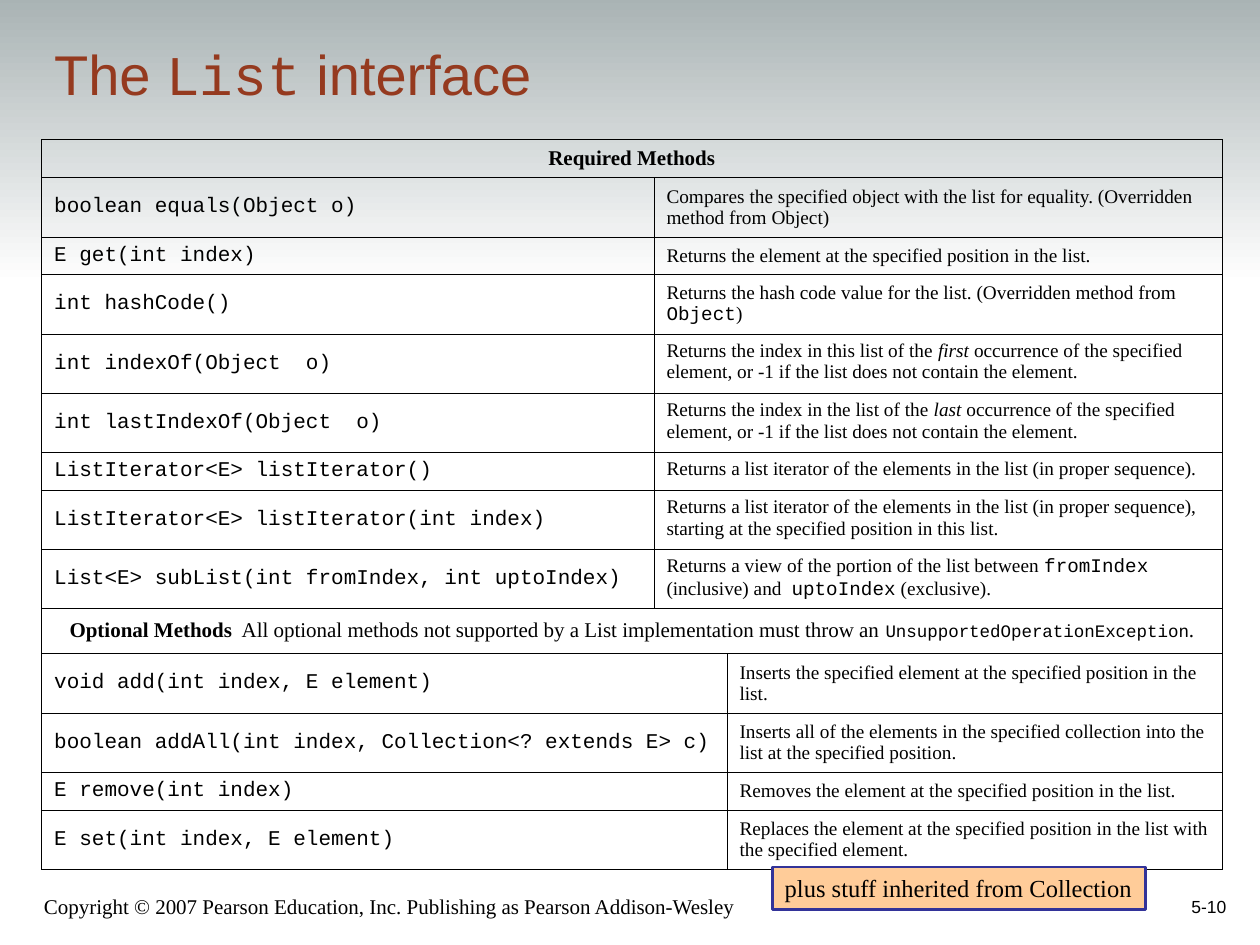
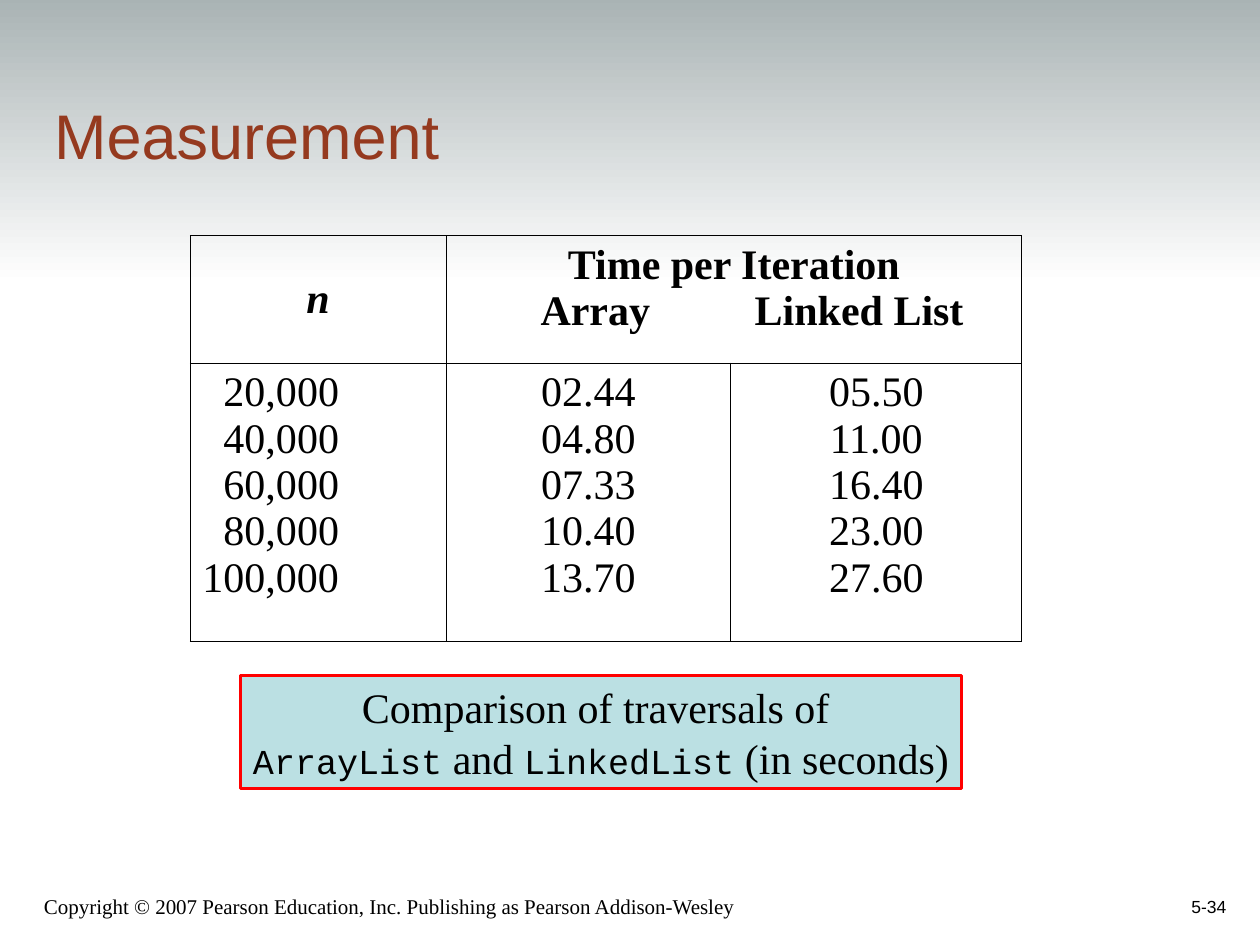
from pptx import Presentation
from pptx.dml.color import RGBColor as RGB
from pptx.enum.shapes import MSO_SHAPE as Shape
from pptx.enum.text import MSO_ANCHOR as Anchor, MSO_AUTO_SIZE as Auto, PP_ALIGN as Align
from pptx.oxml import parse_xml
from pptx.oxml.ns import nsdecls
from pptx.util import Inches, Pt

TIMES, MONO, SANS = "Times New Roman", "Courier New", "Arial"
THEME = {
    "ink": "000000", "rust": "953A1F", "band": ("A7B1B2", "FFFFFF"),
    "rule": 0.45, "edge": 1.5,
    "text": {
        "title": dict(name=SANS, size=32), "big": dict(name=SANS, size=36),
        "tcode": dict(name=MONO, size=32),
        "foot": dict(name=TIMES, size=12), "num": dict(name=SANS, size=10),
        "head": dict(name=TIMES, size=12, bold=True),
        "note": dict(name=TIMES, size=12), "err": dict(name=MONO, size=10),
        "code": dict(name=MONO, size=12), "body": dict(name=TIMES, size=11),
        "word": dict(name=MONO, size=11),
        "ital": dict(name=TIMES, size=11, italic=True),
        "plus": dict(name=TIMES, size=14),
        "n": dict(name=TIMES, size=24, bold=True, italic=True),
        "bold": dict(name=TIMES, size=24, bold=True),
        "data": dict(name=TIMES, size=24), "class": dict(name=MONO, size=20),
    },
}


def write(frame, lines, align=Align.LEFT, ink=THEME["ink"]):
    """Fill a text frame; each line is a list of (text, style) runs."""
    for i, line in enumerate(lines):
        para = frame.add_paragraph() if i else frame.paragraphs[0]
        para.alignment = align
        for text, style in line:
            run = para.add_run()
            run.text = text
            look = dict(THEME["text"][style])
            look["size"] = Pt(look["size"])
            for key, value in look.items():
                setattr(run.font, key, value)
            run.font.color.rgb = RGB.from_string(ink)


def grid(slide, left, top, cols, rows):
    """Add a plain table with thin rules and no fill."""
    frame = slide.shapes.add_table(len(rows), len(cols), Inches(left), Inches(top),
                                   Inches(sum(cols)), Inches(sum(rows)))
    table = frame.table
    table.first_row = table.horz_banding = False
    for col, width in zip(table.columns, cols):
        col.width = Inches(width)
    for row, height in zip(table.rows, rows):
        row.height = Inches(height)
    for cell in table.iter_cells():
        props = cell._tc.get_or_add_tcPr()
        for side in "LRTB":
            props.append(parse_xml(
                f'<a:ln{side} {nsdecls("a")} w="{Pt(THEME["rule"])}"><a:solidFill>'
                f'<a:srgbClr val="{THEME["ink"]}"/></a:solidFill></a:ln{side}>'))
        cell.fill.background()
    return table


deck = Presentation()
deck.slide_width, deck.slide_height = Inches(10), Inches(7.5)

# Band, title, footer and callout of each slide
pages = [
    dict(num="5-10", title=[("The ", "title"), ("List", "tcode"), (" interface", "title")],
         box=(0.33, 0.25, 8.47, 0.65), call=(6.13, 6.88, 2.96, 0.34), pad=0.1,
         fill="FFCC99", line="333399", align=Align.LEFT, anchor=Anchor.TOP,
         lines=[[("plus stuff inherited from Collection", "plus")]]),
    dict(num="5-34", title=[("Measurement", "big")],
         box=(0.33, 0.33, 8.47, 1.09), call=(1.91, 5.36, 5.72, 0.9), pad=0.03,
         fill="BBE0E3", line="FF0000", align=Align.CENTER, anchor=Anchor.MIDDLE,
         lines=[[("Comparison of traversals of ", "data")],
                [("ArrayList", "class"), (" and ", "data"),
                 ("LinkedList", "class"), (" (in seconds)", "data")]]),
]
COPY = "Copyright © 2007 Pearson Education, Inc. Publishing as Pearson Addison-Wesley"
slides = []
for page in pages:
    slide = deck.slides.add_slide(deck.slide_layouts[5])
    slides.append(slide)
    shapes = slide.shapes

    band = shapes.add_shape(Shape.RECTANGLE, 0, Inches(-0.08), Inches(10), Inches(2.33))
    band.shadow.inherit = False
    band.line.fill.background()
    band.fill.gradient()
    band.fill.gradient_angle = 270
    for stop, tint in zip(band.fill.gradient_stops, THEME["band"]):
        stop.color.rgb = RGB.from_string(tint)
    shapes._spTree.insert(2, band._element)

    title = shapes.title
    title.left, title.top, title.width, title.height = map(Inches, page["box"])
    title.text_frame.auto_size = Auto.NONE
    title.text_frame.vertical_anchor = Anchor.BOTTOM
    write(title.text_frame, [page["title"]], ink=THEME["rust"])

    for spot, text, style, align in [
        ((0.25, 6.92, 6.08, 0.42), COPY, "foot", Align.LEFT),
        ((7.75, 6.83, 2.08, 0.5), page["num"], "num", Align.RIGHT),
    ]:
        frame = shapes.add_textbox(*map(Inches, spot)).text_frame
        frame.word_wrap = True
        frame.vertical_anchor = Anchor.BOTTOM
        write(frame, [[(text, style)]], align)

# Methods of List: signature, description, anchor
MID, TOP = Anchor.MIDDLE, Anchor.TOP
need = [
    ("boolean equals(Object o)", [("Compares the specified object with the list for equality. "
                                   "(Overridden method from Object)", "body")], MID),
    ("E get(int index)",
     [("Returns the element at the specified position in the list.", "body")], MID),
    ("int hashCode()",
     [("Returns the hash code value for the list. (Overridden method from ", "body"),
      ("Object", "word"), (")", "body")], MID),
    ("int indexOf(Object  o)",
     [("Returns the index in this list of the ", "body"), ("first", "ital"),
      (" occurrence of the specified element, or -1 if the list does not contain "
       "the element.", "body")], TOP),
    ("int lastIndexOf(Object  o)",
     [("Returns the index in the list of the ", "body"), ("last", "ital"),
      (" occurrence of the specified element, or -1 if the list does not contain "
       "the element.", "body")], TOP),
    ("ListIterator<E> listIterator()",
     [("Returns a list iterator of the elements in the list (in proper sequence).",
       "body")], TOP),
    ("ListIterator<E> listIterator(int index)",
     [("Returns a list iterator of the elements in the list (in proper sequence), "
       "starting at the specified position in this list.", "body")], TOP),
    ("List<E> subList(int fromIndex, int uptoIndex)",
     [("Returns a view of the portion of the list between ", "body"), ("fromIndex", "word"),
      (" (inclusive) and  ", "body"), ("uptoIndex", "word"), (" (exclusive).", "body")], TOP),
]
extra = [
    ("void add(int index, E element)",
     [("Inserts the specified element at the specified position in the list.", "body")], MID),
    ("boolean addAll(int index, Collection<? extends E> c)",
     [("Inserts all of the elements in the specified collection into the list at the "
       "specified position.", "body")], MID),
    ("E remove(int index)",
     [("Removes the element at the specified position in the list.", "body")], MID),
    ("E set(int index, E element)",
     [("Replaces the element at the specified position in the list with the specified "
       "element.", "body")], MID),
]
groups = [
    ([("Required Methods", "head")], need, 1),
    ([("Optional Methods", "head"),
      ("  All optional methods not supported by a List implementation must throw an ", "note"),
      ("UnsupportedOperationException", "err"), (".", "note")], extra, 2),
]
ONE, TWO = 0.3, 0.47
tall = [ONE, TWO, ONE, TWO, TWO, TWO, ONE, TWO, TWO, 0.36, TWO, TWO, ONE, TWO]
table = grid(slides[0], 0.33, 1.11, [4.86, 0.58, 3.93], tall)
row = 0
for head, items, split in groups:
    cell = table.cell(row, 0)
    cell.merge(table.cell(row, 2))
    cell.vertical_anchor = MID
    write(cell.text_frame, [head], Align.CENTER)
    for row, (code, about, anchor) in enumerate(items, row + 1):
        left, right = table.cell(row, 0), table.cell(row, split)
        if split == 1:
            right.merge(table.cell(row, 2))
        else:
            left.merge(table.cell(row, 1))
        left.vertical_anchor, right.vertical_anchor = MID, anchor
        write(left.text_frame, [[(code, "code")]])
        write(right.text_frame, [about])
    row += 1

# Traversal times
table = grid(slides[1], 1.51, 1.87, [2.03, 2.26, 2.31], [1.01, 2.21])
size, time = table.cell(0, 0), table.cell(0, 1)
size.vertical_anchor = MID
write(size.text_frame, [[("n", "n")]], Align.CENTER)
time.merge(table.cell(0, 2))
write(time.text_frame, [[("Time per Iteration", "bold")],
                        [("\tArray\tLinked List", "bold")]], Align.CENTER)
names = time.text_frame.paragraphs[1]
names.alignment = Align.LEFT
stops = "".join(f'<a:tab pos="{Inches(x)}" algn="l"/>' for x in (0.65, 2.35))
names._p.get_or_add_pPr().append(
    parse_xml(f'<a:tabLst {nsdecls("a")}>{stops}</a:tabLst>'))

times = [
    (["20,000", "40,000", "60,000", "80,000", "100,000"], Align.RIGHT),
    (["02.44", "04.80", "07.33", "10.40", "13.70"], Align.CENTER),
    (["05.50", "11.00", "16.40", "23.00", "27.60"], Align.CENTER),
]
for col, (values, align) in enumerate(times):
    write(table.cell(1, col).text_frame, [[(v, "data")] for v in values], align)
first = table.cell(1, 0)
first.margin_left, first.margin_right = Inches(0.02), Inches(0.85)

# Callouts in front of the tables
for slide, page in zip(slides, pages):
    call = slide.shapes.add_shape(Shape.RECTANGLE, *map(Inches, page["call"]))
    call.shadow.inherit = False
    call.fill.solid()
    call.fill.fore_color.rgb = RGB.from_string(page["fill"])
    call.line.color.rgb = RGB.from_string(page["line"])
    call.line.width = Pt(THEME["edge"])
    pad = Inches(page["pad"])
    looks = dict(word_wrap=False, auto_size=Auto.SHAPE_TO_FIT_TEXT,
                 vertical_anchor=page["anchor"], margin_left=pad, margin_right=pad)
    for key, value in looks.items():
        setattr(call.text_frame, key, value)
    write(call.text_frame, page["lines"], page["align"])

deck.save("out.pptx")
